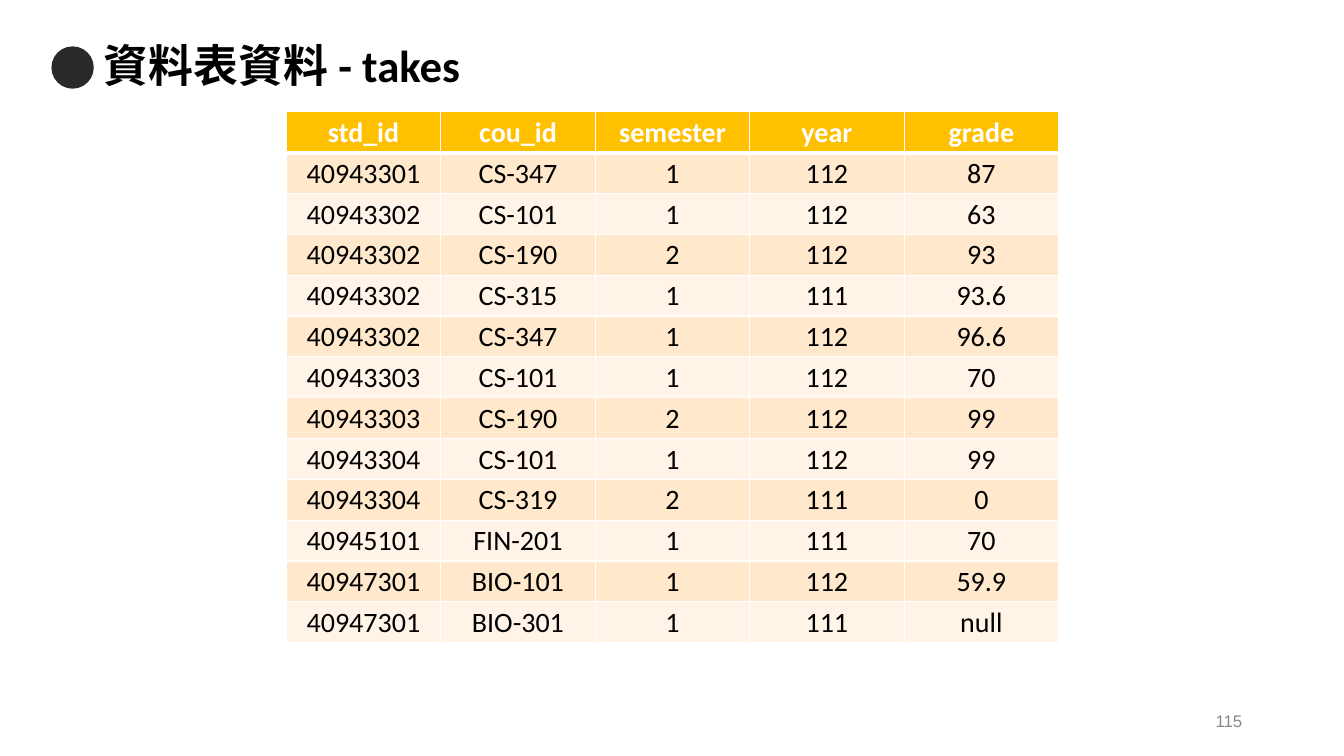
from lxml import etree
from pptx import Presentation
from pptx.dml.color import RGBColor
from pptx.enum.shapes import MSO_SHAPE
from pptx.enum.text import MSO_ANCHOR, PP_ALIGN
from pptx.oxml.ns import qn
from pptx.util import Inches, Pt

OVAL = MSO_SHAPE.OVAL
MIDDLE = MSO_ANCHOR.MIDDLE
LEFT, CENTER, RIGHT = PP_ALIGN.LEFT, PP_ALIGN.CENTER, PP_ALIGN.RIGHT

TITLE = "資料表資料 - takes"
PAGE = "115"
HEADER = ("std_id", "cou_id", "semester", "year", "grade")
TAKES = [
    ("40943301", "CS-347", "1", "112", "87"),
    ("40943302", "CS-101", "1", "112", "63"),
    ("40943302", "CS-190", "2", "112", "93"),
    ("40943302", "CS-315", "1", "111", "93.6"),
    ("40943302", "CS-347", "1", "112", "96.6"),
    ("40943303", "CS-101", "1", "112", "70"),
    ("40943303", "CS-190", "2", "112", "99"),
    ("40943304", "CS-101", "1", "112", "99"),
    ("40943304", "CS-319", "2", "111", "0"),
    ("40945101", "FIN-201", "1", "111", "70"),
    ("40947301", "BIO-101", "1", "112", "59.9"),
    ("40947301", "BIO-301", "1", "111", "null"),
]
BLACK, WHITE, GRAY, DOT = "000000", "FFFFFF", "888888", "292929"
GOLD, BANDS = "FFC000", ("FFF4E7", "FFE8CC")
TABLE_LEFT, TABLE_TOP, TABLE_W, TABLE_H = 2.84, 1.11, 7.66, 5.27


def rgb(value):
    return RGBColor.from_string(value)


def write(tf, text, size, font, color, align, bold=False):
    tf.text = text
    tf.vertical_anchor = MIDDLE
    p = tf.paragraphs[0]
    p.alignment = align
    f = p.runs[0].font
    f.size, f.name, f.bold = Pt(size), font, bold
    f.color.rgb = rgb(color)
    return p


def add_borders(cell, top, bottom):
    """Draw white borders; must run before the cell fill is set."""
    tc_pr = cell._tc.get_or_add_tcPr()
    for side, width in (("L", 1), ("R", 1), ("T", top), ("B", bottom)):
        ln = etree.SubElement(tc_pr, qn(f"a:ln{side}"), w=str(Pt(width)))
        fill = etree.SubElement(ln, qn("a:solidFill"))
        etree.SubElement(fill, qn("a:srgbClr"), val=WHITE)


prs = Presentation()
prs.slide_width, prs.slide_height = Inches(13.33), Inches(7.5)
s = prs.slides.add_slide(prs.slide_layouts[5])

dot = s.shapes.add_shape(OVAL, Inches(0.51), Inches(0.46), Inches(0.42), Inches(0.42))
dot.shadow.inherit = False
dot.fill.solid()
dot.fill.fore_color.rgb = rgb(DOT)
dot.line.fill.background()

title = s.shapes.title
title.left, title.top = Inches(0.93), Inches(0.35)
title.width, title.height = Inches(11.49), Inches(0.64)
p = write(title.text_frame, TITLE, 32, "Calibri", BLACK, LEFT, bold=True)
p.line_spacing = 0.9

number = s.shapes.add_textbox(Inches(9.42), Inches(6.95), Inches(3), Inches(0.4))
number.text_frame.word_wrap = True
write(number.text_frame, PAGE, 12, "Arial", GRAY, RIGHT)

rows = [HEADER] + TAKES
table = s.shapes.add_table(len(rows), len(HEADER), Inches(TABLE_LEFT), Inches(TABLE_TOP),
                           Inches(TABLE_W), Inches(TABLE_H)).table
for column in table.columns:
    column.width = Inches(TABLE_W / len(HEADER))
for i, values in enumerate(rows):
    table.rows[i].height = Inches(TABLE_H / len(rows))
    is_header = i == 0
    for j, value in enumerate(values):
        cell = table.cell(i, j)
        cell.margin_left = cell.margin_right = cell.margin_top = Inches(0.01)
        cell.margin_bottom = 0
        cell.vertical_anchor = MIDDLE
        add_borders(cell, 3 if i == 1 else 1, 3 if is_header else 1)
        cell.fill.solid()
        cell.fill.fore_color.rgb = rgb(GOLD if is_header else BANDS[i % 2])
        write(cell.text_frame, value, 20, "Calibri", WHITE if is_header else BLACK,
              CENTER, bold=is_header)

prs.save("out.pptx")
